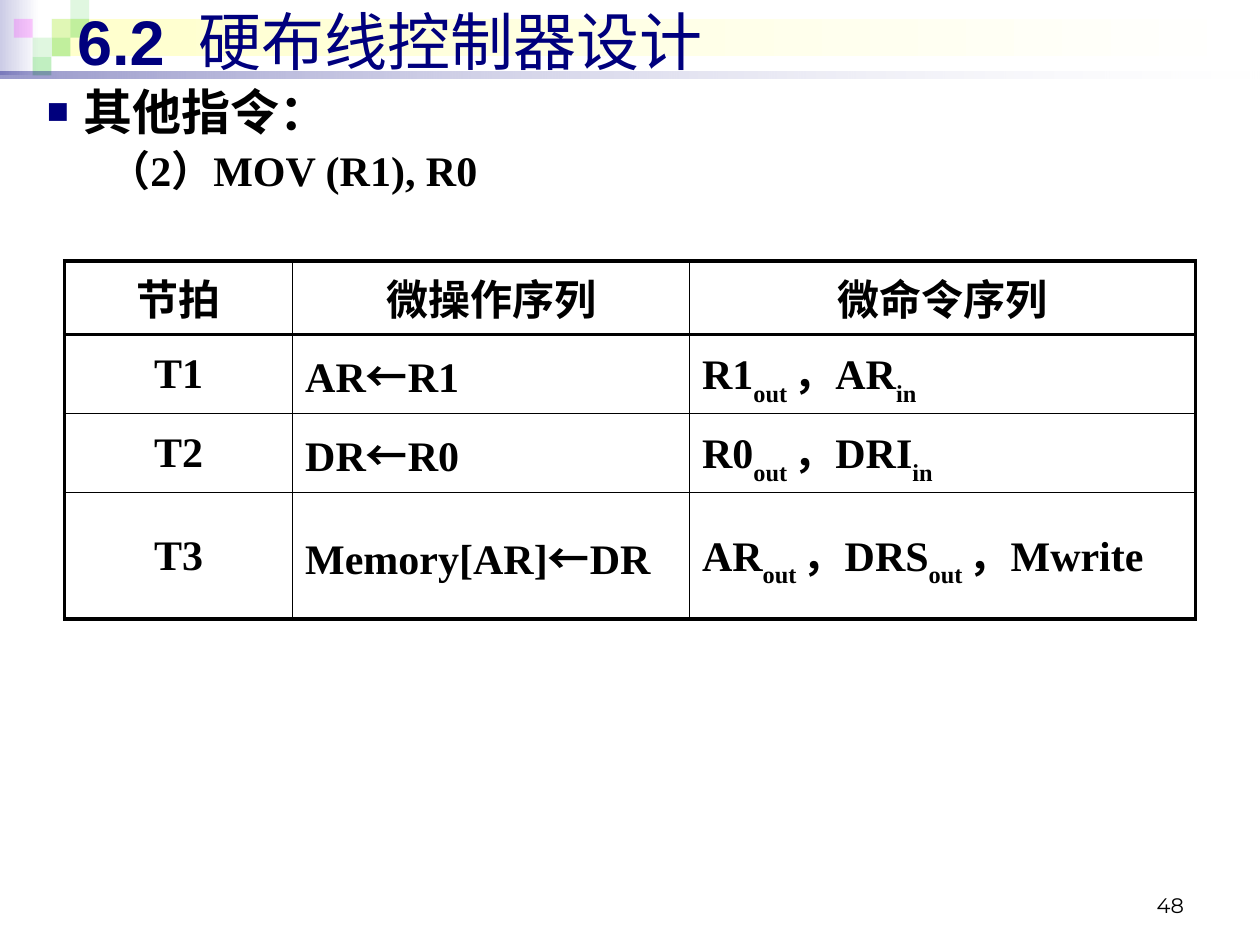
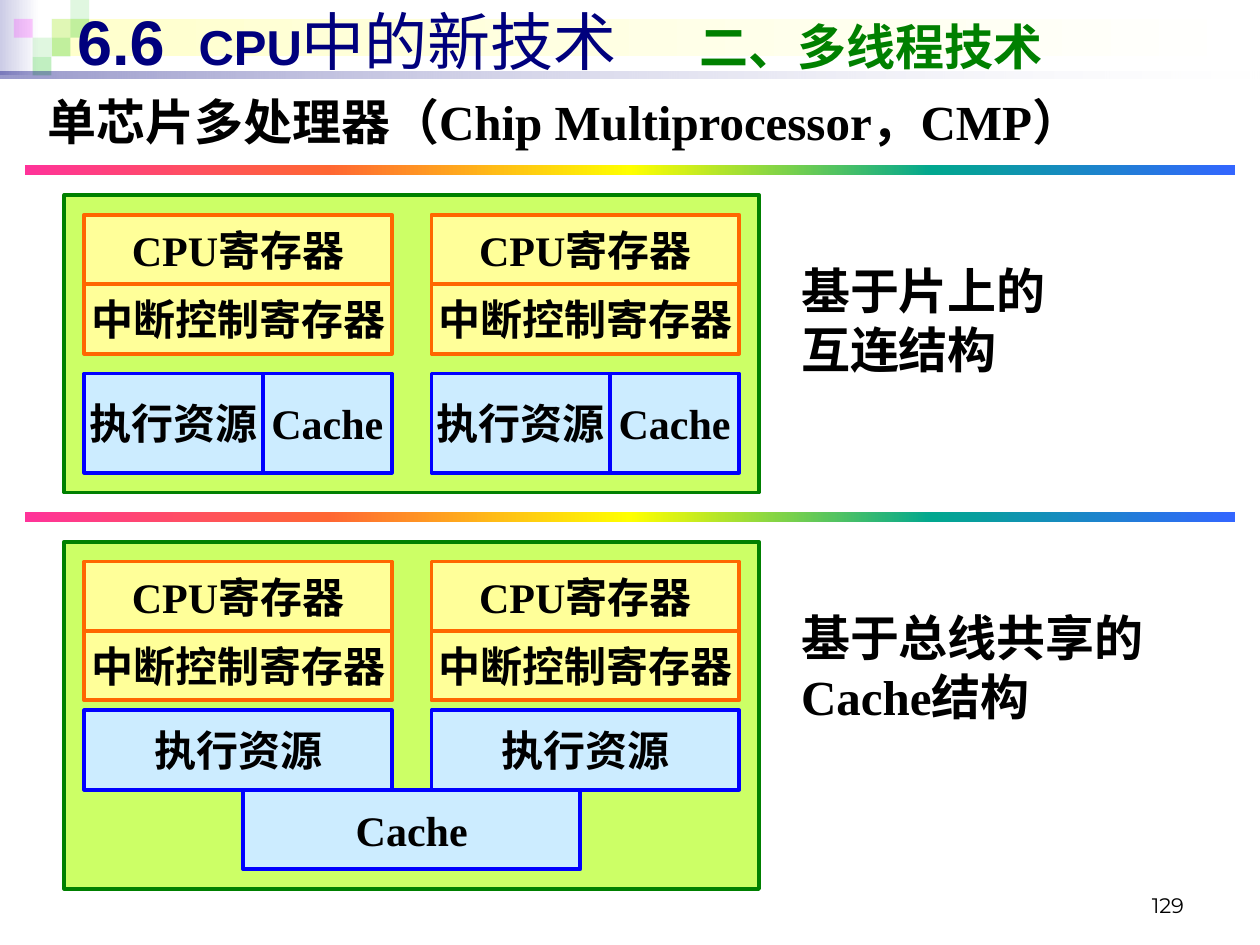
from lxml import etree
from pptx import Presentation
from pptx import util as u
from pptx.dml.color import RGBColor
from pptx.enum import shapes, text
from pptx.oxml.ns import qn

Cm, Pt = u.Cm, u.Pt
NAVY, GREEN, BLACK = "00007D", "008000", "000000"
LIME, YELLOW, ORANGE, SKY, BLUE = "CCFF66", "FFFF99", "FF6600", "CCECFF", "0000FF"
SERIF, SANS, CJK, UI = "Times New Roman", "Arial", "Noto Sans CJK SC", "Montserrat"
RAINBOW = [(0, "FF3399"), (25, "FF6633"), (50, "FFFF00"), (75, "01A78F"), (100, "3366FF")]
THICK, MEDIUM, THIN = 2.25, 1, 0.75


def rgb(color):
    return RGBColor.from_string(color)


def add_element(parent, tag, **attributes):
    element = etree.SubElement(parent, qn(tag))
    for name, value in attributes.items():
        element.set(name, str(value))
    return element


def add_color(parent, color, opacity=100):
    element = add_element(parent, "a:srgbClr", val=color)
    if opacity < 100:
        add_element(element, "a:alpha", val=opacity * 1000)


def indent(paragraph, left, hanging):
    properties = paragraph._p.get_or_add_pPr()
    properties.set("marL", str(Cm(left)))
    properties.set("indent", str(-Cm(hanging)))
    return properties


class Deck:
    def __init__(self):
        self.presentation = Presentation()
        self.presentation.slide_width = Cm(25.4)
        self.presentation.slide_height = Cm(19.05)
        self.slide = None

    def new_slide(self, layout, title_runs, number):
        self.slide = self.presentation.slides.add_slide(
            self.presentation.slide_layouts[layout])
        if len(self.presentation.slides) == 1:
            self.decorate_master()
        self.title(title_runs)
        self.text_box(18.2, 17.35, 5.92, 1.27, number, 12, font=UI, bold=False,
                      align=text.PP_ALIGN.RIGHT, anchor=text.MSO_ANCHOR.BOTTOM)

    def decorate_master(self):
        """Draw the header band and hand it to the master, so all slides share it."""
        band = [self.gradient(0, 0, 0.79, 1.52, [(0, "CCCCE6"), (100, "FFFFFF")]),
                self.gradient(1.04, 0.38, 24.26, 0.76, [(0, "FFFFCC"), (100, "FFFFFF")])]
        side = 0.38
        for column, row, color, opacity in (
                (2, 1, "33CC33", 15), (3, 0, "33CC33", 15), (3, 1, "33CC33", 30),
                (1, 2, "33CC33", 15), (0, 1, "FF00FF", 20), (2, 2, "33CC33", 30),
                (1, 3, "33CC33", 30)):
            square = self.box(0.28 + column * side, row * side, side, side, color)
            fill_color = square._element.spPr.find(".//" + qn("a:srgbClr"))
            add_element(fill_color, "a:alpha", val=opacity * 1000)
            band.append(square)
        band.append(self.gradient(0, 1.45, 25.4, 0.13,
                                  [(0, NAVY, 40), (100, "FFFFFF", 10)]))
        tree = self.presentation.slide_master.shapes._spTree
        for number, shape in enumerate(band):
            shape._element.nvSpPr.cNvPr.set("id", str(100 + number))
            tree.append(shape._element)

    def style(self, run, size, color=BLACK, bold=True, font=SERIF, asian=UI):
        run.font.size, run.font.bold, run.font.name = Pt(size), bold, font
        run.font.color.rgb = rgb(color)
        add_element(run._r.get_or_add_rPr(), "a:ea", typeface=asian)

    def place(self, shape, left, top, width, height):
        shape.left, shape.top = Cm(left), Cm(top)
        shape.width, shape.height = Cm(width), Cm(height)
        shape.text_frame.auto_size = text.MSO_AUTO_SIZE.NONE
        return shape.text_frame

    def title(self, runs):
        frame = self.place(self.slide.shapes.title, 1.3, -0.08, 23.8, 1.8)
        frame.vertical_anchor = text.MSO_ANCHOR.MIDDLE
        paragraph = frame.paragraphs[0]
        paragraph.alignment = text.PP_ALIGN.LEFT
        tabs = add_element(paragraph._p.get_or_add_pPr(), "a:tabLst")
        for position in (2.45, 12.55):
            add_element(tabs, "a:tab", pos=Cm(position), algn="l")
        for content, size, color, bold in runs:
            run = paragraph.add_run()
            run.text = content
            self.style(run, size, color, bold, SANS)

    def body(self, heading, item):
        frame = self.place(self.slide.placeholders[1], 0.69, 1.52, 24.4, 2.6)
        frame.text = heading
        first, second = frame.paragraphs[0], frame.add_paragraph()
        first.space_before = Pt(0)
        properties = indent(first, 0.74, 0.74)
        add_color(add_element(properties, "a:buClr"), NAVY)
        add_element(properties, "a:buSzPct", val=75000)
        add_element(properties, "a:buChar", char="■")
        second.text, second.level = item, 1
        second.space_before = Pt(2.4)
        add_element(indent(second, 2, 0.76), "a:buNone")
        self.style(first.runs[0], 28)
        self.style(second.runs[0], 24)

    def text_box(self, left, top, width, height, content, size, font=SERIF, bold=True,
                 align=text.PP_ALIGN.LEFT, anchor=text.MSO_ANCHOR.TOP):
        shape = self.slide.shapes.add_textbox(0, 0, 0, 0)
        frame = self.place(shape, left, top, width, height)
        frame.word_wrap = True
        frame.vertical_anchor = anchor
        paragraph = frame.paragraphs[0]
        paragraph.text, paragraph.alignment = content, align
        for run in paragraph.runs:
            self.style(run, size, bold=bold, font=font)

    def box(self, left, top, width, height, fill, line=None, label=None):
        shape = self.slide.shapes.add_shape(
            shapes.MSO_SHAPE.RECTANGLE, Cm(left), Cm(top), Cm(width), Cm(height))
        shape.shadow.inherit = False
        shape.fill.solid()
        shape.fill.fore_color.rgb = rgb(fill)
        if line:
            shape.line.color.rgb = rgb(line)
            shape.line.width = Pt(THICK)
        else:
            shape.line.fill.background()
        if label:
            frame = shape.text_frame
            frame.text, frame.word_wrap = label, False
            frame.vertical_anchor = text.MSO_ANCHOR.MIDDLE
            frame.paragraphs[0].alignment = text.PP_ALIGN.CENTER
            self.style(frame.paragraphs[0].runs[0], 24)
        return shape

    def gradient(self, left, top, width, height, stops):
        shape = self.box(left, top, width, height, "FFFFFF")
        shape.fill.gradient()
        shape.fill.gradient_angle = 0
        stop_list = shape._element.spPr.find(".//" + qn("a:gsLst"))
        for old_stop in list(stop_list):
            stop_list.remove(old_stop)
        for position, *color in stops:
            add_color(add_element(stop_list, "a:gs", pos=position * 1000), *color)
        return shape

    def table(self, left, top, widths, heights, rows):
        table = self.slide.shapes.add_table(
            len(rows), len(widths), Cm(left), Cm(top),
            Cm(sum(widths)), Cm(sum(heights))).table
        table.first_row = table.horz_banding = False
        for column, width in zip(table.columns, widths):
            column.width = Cm(width)
        last_row, last_column = len(rows) - 1, len(widths) - 1
        for r, row in enumerate(rows):
            table.rows[r].height = Cm(heights[r])
            for c, content in enumerate(row):
                cell = table.cell(r, c)
                self.cell_text(cell, content, centred=r == 0 or c == 0)
                self.cell_borders(
                    cell,
                    L=MEDIUM if c else THICK,
                    R=MEDIUM if c < last_column else THICK,
                    T=THIN if r > 1 else THICK,
                    B=THIN if 0 < r < last_row else THICK)
                cell.fill.background()

    def cell_text(self, cell, content, centred):
        """Write parts split by |, where a leading _ marks a subscript."""
        cell.vertical_anchor = text.MSO_ANCHOR.MIDDLE
        paragraph = cell.text_frame.paragraphs[0]
        paragraph.alignment = text.PP_ALIGN.CENTER if centred else text.PP_ALIGN.LEFT
        for part in content.split("|"):
            run = paragraph.add_run()
            run.text = part.removeprefix("_")
            self.style(run, 24, font=CJK if part == "←" else SERIF, asian=CJK)
            if part.startswith("_"):
                run._r.get_or_add_rPr().set("baseline", "-30000")

    def cell_borders(self, cell, **widths):
        properties = cell._tc.get_or_add_tcPr()
        for side, width in widths.items():
            line = add_element(properties, "a:ln" + side, w=Pt(width))
            add_color(add_element(line, "a:solidFill"), BLACK)


def instruction_slide(deck):
    deck.new_slide(1, [("6.2\t", 36, NAVY, True),
                       ("硬布线控制器设计", 36, NAVY, False)], "48")
    deck.body("其他指令：", "（2）MOV (R1), R0")
    deck.table(1.3, 5.26, [4.6, 8, 10.2], [1.47, 1.59, 1.59, 2.54], [
        ["节拍", "微操作序列", "微命令序列"],
        ["T1", "AR|←|R1", "R1|_out |，AR|_in"],
        ["T2", "DR|←|R0", "R0|_out |，DRI|_in"],
        ["T3", "Memory[AR]|←|DR", "AR|_out |，DRS|_out |，Mwrite"],
    ])


def multiprocessor_slide(deck):
    deck.new_slide(5, [("6.6\t", 36, NAVY, True), ("CPU", 28, NAVY, True),
                       ("中的新技术\t", 36, NAVY, False),
                       ("二、多线程技术", 28, GREEN, True)], "129")
    deck.text_box(0.71, 1.73, 22.8, 1.4,
                  "单芯片多处理器（Chip Multiprocessor，CMP）", 28)
    core_lefts, core_width = (1.7, 8.7), 6.2
    panel_tops = []
    for rule_top, panel_height, label in ((3.33, 6, "基于片上的\v互连结构"),
                                          (10.32, 7, "基于总线共享的\vCache结构")):
        panel_top = rule_top + 0.6
        panel_tops.append(panel_top)
        deck.gradient(0.5, rule_top, 24.4, 0.2, RAINBOW)
        deck.box(1.3, panel_top, 14, panel_height, LIME, GREEN)
        for left in core_lefts:
            for row, register in enumerate(("CPU寄存器", "中断控制寄存器")):
                deck.box(left, panel_top + 0.4 + row * 1.4, core_width, 1.4,
                         YELLOW, ORANGE, register)
        deck.text_box(15.9, rule_top + 1.8, 8.4, 2.9, label, 28)

    private_top, shared_top = panel_tops
    for left in core_lefts:
        deck.box(left, private_top + 3.6, 3.6, 2, SKY, BLUE, "执行资源")
        deck.box(left + 3.6, private_top + 3.6, 2.6, 2, SKY, BLUE, "Cache")
        deck.box(left, shared_top + 3.4, core_width, 1.6, SKY, BLUE, "执行资源")
    deck.box(4.9, shared_top + 5, 6.8, 1.6, SKY, BLUE, "Cache")


def main():
    deck = Deck()
    instruction_slide(deck)
    multiprocessor_slide(deck)
    deck.presentation.save("out.pptx")


if __name__ == "__main__":
    main()
